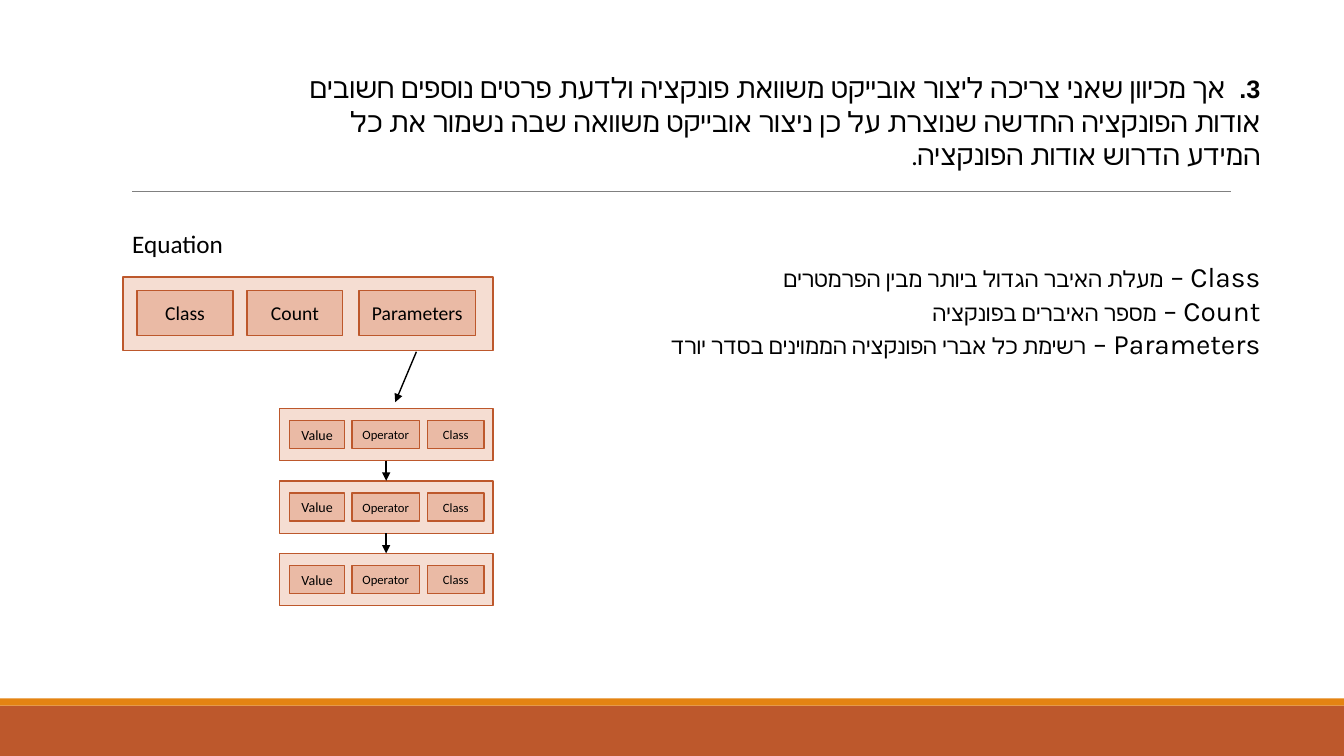
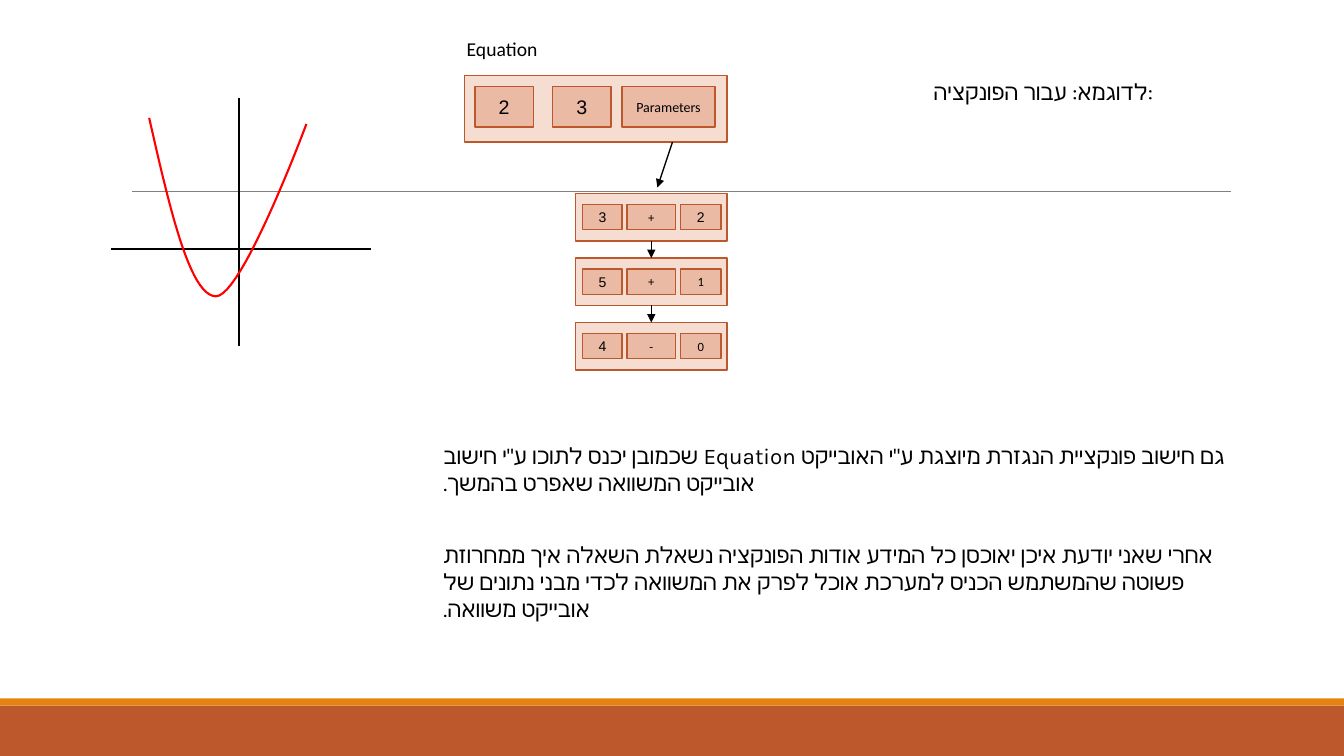
from dataclasses import dataclass
from itertools import pairwise

from lxml.etree import SubElement
from pptx import Presentation
from pptx.dml.color import RGBColor
from pptx.enum.shapes import MSO_CONNECTOR, MSO_SHAPE
from pptx.enum.text import MSO_ANCHOR, PP_ALIGN
from pptx.oxml.ns import qn
from pptx.util import Inches, Pt


@dataclass(frozen=True)
class Theme:
    # Colours
    ink: str = "000000"
    rust: str = "BD582C"
    orange: str = "E48312"
    node: str = "F5DDD2"
    cell: str = "EABAA5"
    rule: str = "808080"
    curve: str = "FF0000"
    # Fonts
    diagram: str = "Calibri"
    digits: str = "Arial"
    body: str = "Karla"
    # Type sizes
    lead: int = 20
    label: int = 18
    text: int = 16
    large: int = 14
    small: int = 10
    tiny: int = 9


T = Theme()


class Deck:
    """Holds the style and the slide being drawn."""

    def __init__(self):
        self.prs = Presentation()
        self.prs.slide_width, self.prs.slide_height = Inches(13.33), Inches(7.5)
        self.s = None

    def new_slide(self):
        self.s = self.prs.slides.add_slide(self.prs.slide_layouts[6])
        self.rect(0, 7, 13.33, 0.5, T.rust)
        self.rect(0, 6.93, 13.33, 0.07, T.orange)
        self.line(1.31, 1.9, 12.21, 1.9, T.rule, 0.5)

    def rect(self, x, y, w, h, fill, border=None):
        sp = self.s.shapes.add_shape(
            MSO_SHAPE.RECTANGLE, Inches(x), Inches(y), Inches(w), Inches(h))
        sp.shadow.inherit = False
        sp.fill.solid()
        sp.fill.fore_color.rgb = RGBColor.from_string(fill)
        if border:
            sp.line.color.rgb = RGBColor.from_string(border)
            sp.line.width = Pt(1)
        else:
            sp.line.fill.background()
        return sp

    def line(self, x1, y1, x2, y2, color=T.ink, width=1.0, arrow=False):
        c = self.s.shapes.add_connector(
            MSO_CONNECTOR.STRAIGHT, Inches(x1), Inches(y1), Inches(x2), Inches(y2))
        c.line.color.rgb = RGBColor.from_string(color)
        c.line.width = Pt(width)
        if arrow:
            SubElement(c.line._get_or_add_ln(), qn("a:tailEnd"), type="triangle")
        SubElement(c._element.spPr, qn("a:effectLst"))
        return c

    def link(self, upper, lower):
        c = self.line(0, 0, 1, 1, arrow=True)
        c.begin_connect(upper, 2)
        c.end_connect(lower, 0)

    def run(self, p, text, size, font, script_font=None, bold=False):
        r = p.add_run()
        r.text = text
        r.font.size, r.font.name, r.font.bold = Pt(size), font, bold
        r.font.color.rgb = RGBColor.from_string(T.ink)
        SubElement(r._r.get_or_add_rPr(), qn("a:cs"), typeface=script_font or font)

    def text(self, x, y, w, h, paragraphs, align=PP_ALIGN.RIGHT, rtl=True):
        """Each paragraph is (space before, list of run arguments)."""
        tf = self.s.shapes.add_textbox(
            Inches(x), Inches(y), Inches(w), Inches(h)).text_frame
        tf.word_wrap = True
        for i, (before, runs) in enumerate(paragraphs):
            p = tf.add_paragraph() if i else tf.paragraphs[0]
            p.alignment, p.space_before = align, Pt(before)
            if rtl:
                p._p.get_or_add_pPr().set("rtl", "1")
            for args in runs:
                self.run(p, *args)

    def node(self, x, y, w, h, slots, cell_h, pad, cells):
        """A box whose slots (offset, width) hold cells (text, size)."""
        box = self.rect(x, y, w, h, T.node, T.rust)
        for (dx, cell_w), (text, size) in zip(slots, cells):
            sp = self.rect(x + dx, y + pad, cell_w, cell_h, T.cell, T.rust)
            tf = sp.text_frame
            tf.word_wrap = False
            tf.vertical_anchor = MSO_ANCHOR.MIDDLE
            tf.margin_left = tf.margin_right = tf.margin_top = tf.margin_bottom = 0
            p = tf.paragraphs[0]
            p.alignment = PP_ALIGN.CENTER
            p._p.get_or_add_pPr().set("rtl", "1")
            self.run(p, text, size, T.diagram,
                     T.diagram if size == T.tiny else T.digits)
        return box

    def node_list(self, x, y, w, h, pitch, slots, cell_h, pad, rows):
        boxes = [self.node(x, y + i * pitch, w, h, slots, cell_h, pad, cells)
                 for i, cells in enumerate(rows)]
        for upper, lower in pairwise(boxes):
            self.link(upper, lower)

    def curve(self, start, segments, steps=24):
        """A smooth open outline through cubic segments."""
        points, p0 = [], start
        for p1, p2, p3 in segments:
            for i in range(1, steps + 1):
                t = i / steps
                u = 1 - t
                points.append(tuple(
                    Inches(u**3 * a + 3 * u * u * t * b + 3 * u * t * t * c + t**3 * d)
                    for a, b, c, d in zip(p0, p1, p2, p3)))
            p0 = p3
        fb = self.s.shapes.build_freeform(Inches(start[0]), Inches(start[1]))
        fb.add_line_segments(points, close=False)
        sp = fb.convert_to_shape()
        sp.shadow.inherit = False
        sp.fill.background()
        sp.line.color.rgb = RGBColor.from_string(T.curve)
        sp.line.width = Pt(1.5)


def equation_slide(d):
    d.new_slide()
    # Equation object and its list of terms
    d.text(0.99, 2.22, 1.32, 0.5, [(0, [("Equation", T.label, T.diagram)])])
    d.node(1.22, 2.75, 3.67, 0.73, [(0.14, 0.95), (1.23, 0.95), (2.34, 1.16)],
           0.45, 0.13,
           [(name, T.large) for name in ("Class", "Count", "Parameters")])
    d.line(4.13, 3.49, 3.92, 3.99, arrow=True)
    term = [("Value", T.small), ("Operator", T.tiny), ("Class", T.tiny)]
    d.node_list(2.77, 4.05, 2.12, 0.52, 0.72,
                [(0.1, 0.55), (0.72, 0.67), (1.47, 0.56)], 0.28, 0.12, [term] * 3)
    # Explanation and field meanings
    intro = ("אך מכיוון שאני צריכה ליצור אובייקט משוואת פונקציה ולדעת פרטים נוספים "
             "חשובים אודות הפונקציה החדשה שנוצרת על כן ניצור אובייקט משוואה שבה "
             "נשמור את כל המידע הדרוש אודות הפונקציה.")
    fields = [("Class – ", "מעלת האיבר הגדול ביותר מבין הפרמטרים"),
              ("Count – ", "מספר האיברים בפונקציה"),
              ("Parameters – ", "רשימת כל אברי הפונקציה הממוינים בסדר יורד")]
    paragraphs = [(0, [("3.  ", T.label, T.diagram, T.digits, True),
                       (intro, T.lead, T.body)])]
    for i, (name, meaning) in enumerate(fields):
        paragraphs.append((0 if i else 63, [(name, T.lead, T.body),
                                            (meaning, T.text, T.body)]))
    d.text(2.87, 0.65, 9.73, 3.3, paragraphs)


def example_slide(d):
    d.new_slide()
    # Equation object filled with the example
    d.text(4.3, 0.32, 1.13, 0.37, [(0, [("Equation", T.large, T.diagram)])])
    d.node(4.61, 0.75, 2.6, 0.66, [(0.1, 0.58), (0.87, 0.58), (1.56, 0.92)],
           0.4, 0.11, [("2", T.large), ("3", T.large), ("Parameters", T.small)])
    d.line(6.67, 1.41, 6.52, 1.86, arrow=True)
    terms = [[("3", T.small), ("+", T.tiny), ("2", T.small)],
             [("5", T.small), ("+", T.tiny), ("1", T.tiny)],
             [("4", T.small), ("-", T.tiny), ("0", T.tiny)]]
    d.node_list(5.71, 1.92, 1.5, 0.47, 0.64,
                [(0.07, 0.39), (0.51, 0.48), (1.04, 0.4)], 0.25, 0.11, terms)
    # Graph of the function
    d.line(2.37, 0.97, 2.37, 3.43, width=1.5)
    d.line(3.68, 2.47, 1.1, 2.47, width=1.5)
    d.curve((1.48, 1.17), [((1.68, 2.05), (1.88, 2.93), (2.14, 2.94)),
                           ((2.4, 2.95), (3.04, 1.23), (3.04, 1.23))])
    # Explanations
    derivative = ("גם חישוב פונקציית הנגזרת מיוצגת ע\"י האובייקט Equation שכמובן יכנס "
                  "לתוכו ע\"י חישוב אובייקט המשוואה שאפרט בהמשך.")
    question = ("אחרי שאני יודעת איכן יאוכסן כל המידע אודות הפונקציה נשאלת השאלה איך "
                "ממחרוזת פשוטה שהמשתמש הכניס למערכת אוכל לפרק את המשוואה לכדי מבני "
                "נתונים של אובייקט משוואה.")
    d.text(4.3, 4.34, 8.26, 2.17, [(0, [(derivative, T.text, T.body)]),
                                   (32, [(question, T.text, T.body)])],
           align=PP_ALIGN.LEFT)
    d.text(9.16, 0.73, 3.06, 0.64,
           [(0, [("לדוגמא: עבור הפונקציה:", T.text, T.body)])],
           align=PP_ALIGN.LEFT, rtl=False)


def main():
    d = Deck()
    equation_slide(d)
    example_slide(d)
    d.prs.save("out.pptx")


if __name__ == "__main__":
    main()
